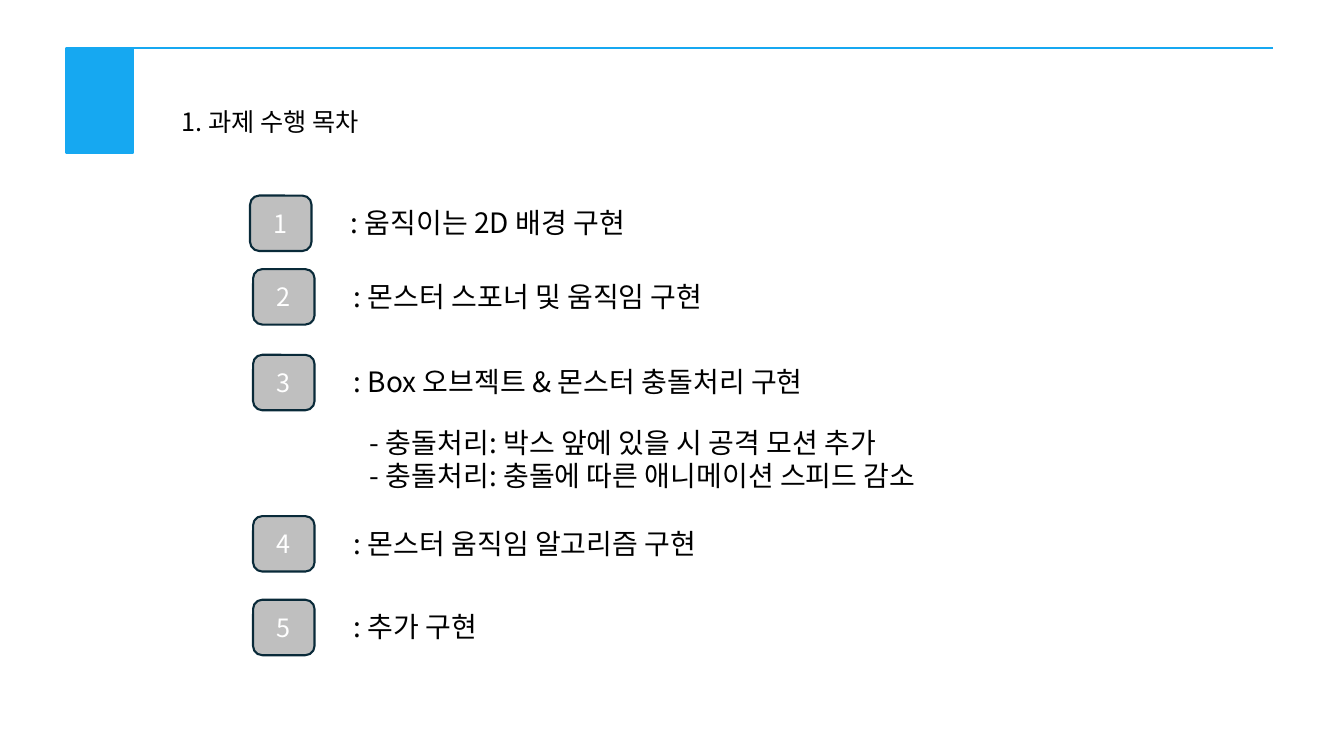
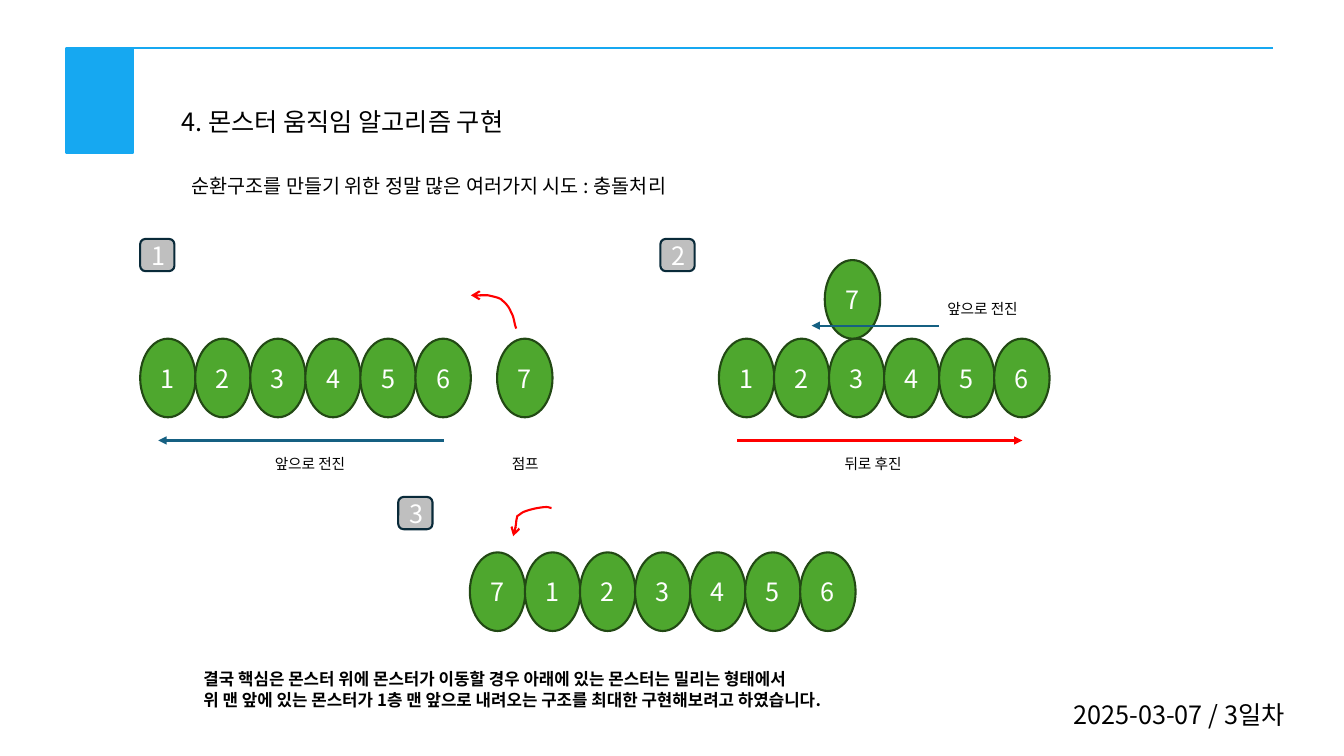
from lxml.etree import SubElement
from pptx import Presentation
from pptx.dml.color import RGBColor
from pptx.enum.shapes import MSO_CONNECTOR, MSO_SHAPE
from pptx.enum.text import MSO_ANCHOR, MSO_AUTO_SIZE, PP_ALIGN
from pptx.oxml.ns import qn
from pptx.util import Inches, Pt

FONT = "Noto Sans CJK KR"
COLORS = {
    "accent": "16A8F1", "text": "000000", "white": "FFFFFF",
    "badge": "BFBFBF", "badge_line": "092A39",
    "monster": "4EA72E", "monster_line": "224914",
    "forward": "156082", "red": "FF0000",
}

# Slide 1 content: left, top of the badge and its label width
AGENDA_TITLE = ("1. 과제 수행 목차", 2.18)
AGENDA = [
    (2.48, 1.94, 3.26, ": 움직이는 2D 배경 구현"),
    (2.51, 2.67, 4.12, ": 몬스터 스포너 및 움직임 구현"),
    (2.51, 3.52, 5.19, ": Box 오브젝트 & 몬스터 충돌처리 구현"),
    (2.51, 5.12, 4.02, ": 몬스터 움직임 알고리즘 구현"),
    (2.51, 5.95, 1.58, ": 추가 구현"),
]
COLLISION_NOTES = [
    "- 충돌처리: 박스 앞에 있을 시 공격 모션 추가",
    "- 충돌처리: 충돌에 따른 애니메이션 스피드 감소",
]

# Slide 2 content
MOVE_TITLE = ("4. 몬스터 움직임 알고리즘 구현", 3.78)
MOVE_TEXTS = [  # box, size, bold, lines
    ((1.8, 1.68, 5.5, 0.34), 14, False,
     ["순환구조를 만들기 위한 정말 많은 여러가지 시도 : 충돌처리"]),
    ((10.55, 6.89, 2.44, 0.4), 18, False, ["2025-03-07 / 3일차"]),
    ((1.92, 6.59, 7.07, 0.5), 12, True,
     ["결국 핵심은 몬스터 위에 몬스터가 이동할 경우 아래에 있는 몬스터는 밀리는 형태에서",
      "위 맨 앞에 있는 몬스터가 1층 맨 앞으로 내려오는 구조를 최대한 구현해보려고 하였습니다."]),
]
STEPS = [("1", 1.39, 2.37), ("2", 6.55, 2.37), ("3", 3.95, 4.93)]
MONSTER_ROWS = [  # digits, left, top
    ("123456", 1.39, 3.36), ("7", 4.93, 3.36),
    ("123456", 7.13, 3.36), ("7", 8.18, 2.58),
    ("7123456", 4.66, 5.48),
]
ARROWS = [  # from x, to x, y, colour
    (4.4, 1.57, 4.37, "forward"),
    (7.31, 10.14, 4.37, "red"),
    (9.31, 8.05, 3.23, "forward"),
]
CAPTIONS = [  # left, top, width, text
    (2.58, 4.46, 0.99, "앞으로 전진"), (4.96, 4.46, 0.5, "점프"),
    (8.24, 4.46, 0.84, "뒤로 후진"), (9.25, 2.93, 0.99, "앞으로 전진"),
]
JUMP_CURVES = [  # start point, then three control points per Bezier segment
    [(5.12, 3.26),
     (5.1, 3.21), (5.1, 3.16), (5.08, 3.12),
     (5.06, 3.08), (5.05, 3.05), (5.03, 3.03),
     (5.01, 3), (4.99, 2.99), (4.97, 2.97),
     (4.94, 2.95), (4.88, 2.94), (4.84, 2.93),
     (4.79, 2.93), (4.73, 2.93), (4.67, 2.93)],
    [(5.47, 5.04),
     (5.46, 5.04), (5.44, 5.03), (5.42, 5.03),
     (5.37, 5.03), (5.26, 5.05), (5.19, 5.08),
     (5.17, 5.09), (5.15, 5.11), (5.13, 5.12),
     (5.11, 5.22), (5.13, 5.12), (5.11, 5.25),
     (5.1, 5.32), (5.12, 5.3), (5.09, 5.32)],
]
MONSTER_W, MONSTER_H = 0.55, 0.78
MONSTER_PITCH = 2.73 / 5
CURVE_STEPS = 8


def rgb(name):
    return RGBColor.from_string(COLORS[name])


def box(*lengths):
    return [Inches(v) for v in lengths]


def style_line(line, color):
    line.color.rgb = rgb(color)
    line.width = Pt(1.5)


def add_head(sp, kind):
    SubElement(sp.line._get_or_add_ln(), qn("a:tailEnd"), type=kind)


def write(tf, lines, size, color="text", align=PP_ALIGN.LEFT, bold=False):
    for i, text in enumerate(lines):
        p = tf.paragraphs[0] if i == 0 else tf.add_paragraph()
        p.alignment = align
        r = p.add_run()
        r.text = text
        r.font.size = Pt(size)
        r.font.bold = bold
        r.font.name = FONT
        r.font.color.rgb = rgb(color)
        SubElement(r.font._element, qn("a:ea"), typeface=FONT)


def fit_frame(tf):
    tf.word_wrap = False
    tf.auto_size = MSO_AUTO_SIZE.SHAPE_TO_FIT_TEXT
    tf.vertical_anchor = MSO_ANCHOR.TOP


def add_text(s, place, lines, size, **style):
    tf = s.shapes.add_textbox(*box(*place)).text_frame
    fit_frame(tf)
    write(tf, lines, size, **style)


def add_block(s, kind, place, fill, line, text=None):
    sp = s.shapes.add_shape(kind, *box(*place))
    sp.shadow.inherit = False
    sp.fill.solid()
    sp.fill.fore_color.rgb = rgb(fill)
    style_line(sp.line, line)
    if text:
        sp.text_frame.vertical_anchor = MSO_ANCHOR.MIDDLE
        write(sp.text_frame, [text], 18, "white", PP_ALIGN.CENTER)


def add_badge(s, text, *place):
    add_block(s, MSO_SHAPE.ROUNDED_RECTANGLE, place, "badge", "badge_line", text)


def add_line(s, x1, y1, x2, y2, color, head=None):
    c = s.shapes.add_connector(MSO_CONNECTOR.STRAIGHT, *box(x1, y1, x2, y2))
    style_line(c.line, color)
    if head:
        add_head(c, head)
    SubElement(c._element.spPr, qn("a:effectLst"))


def curve_points(points):
    """Sample each cubic Bezier segment at equal steps."""
    for i in range(0, len(points) - 1, 3):
        segment = points[i:i + 4]
        for n in range(1, CURVE_STEPS + 1):
            t = n / CURVE_STEPS
            u = 1 - t
            weights = (u ** 3, 3 * u * u * t, 3 * u * t * t, t ** 3)
            yield tuple(Inches(sum(w * pt[axis] for w, pt in zip(weights, segment)))
                        for axis in (0, 1))


def add_curve(s, points):
    builder = s.shapes.build_freeform(*box(*points[0]))
    builder.add_line_segments(curve_points(points), close=False)
    sp = builder.convert_to_shape()
    sp.shadow.inherit = False
    sp.fill.background()
    style_line(sp.line, "red")
    add_head(sp, "arrow")


def add_slide(prs, title, width):
    """Title-only slide with the shared corner block and top rule."""
    s = prs.slides.add_slide(prs.slide_layouts[5])
    add_block(s, MSO_SHAPE.RECTANGLE, (0.66, 0.48, 0.66, 1.04), "accent", "accent")
    add_line(s, 0.66, 0.48, 12.63, 0.48, "accent")
    sp = s.shapes.title
    sp.left, sp.top, sp.width, sp.height = box(1.7, 1, width, 0.4)
    fit_frame(sp.text_frame)
    write(sp.text_frame, [title], 18)
    return s


def build_agenda(prs):
    s = add_slide(prs, *AGENDA_TITLE)
    for number, (x, y, width, text) in enumerate(AGENDA, 1):
        add_badge(s, str(number), x, y, 0.61, 0.55)
        add_text(s, (x + 0.9, y + 0.05, width, 0.44), [text], 20)
    add_text(s, (3.57, 4.17, 6.4, 0.77), COLLISION_NOTES, 20)


def build_movement(prs):
    s = add_slide(prs, *MOVE_TITLE)
    for place, size, bold, lines in MOVE_TEXTS:
        add_text(s, place, lines, size, bold=bold)
    for number, x, y in STEPS:
        add_badge(s, number, x, y, 0.34, 0.32)
    # Monsters
    for digits, x, y in MONSTER_ROWS:
        for i, digit in enumerate(digits):
            place = (x + i * MONSTER_PITCH, y, MONSTER_W, MONSTER_H)
            add_block(s, MSO_SHAPE.OVAL, place, "monster", "monster_line", digit)
    # Movement arrows and captions
    for x1, x2, y, color in ARROWS:
        add_line(s, x1, y, x2, y, color, "triangle")
    for points in JUMP_CURVES:
        add_curve(s, points)
    for x, y, width, text in CAPTIONS:
        add_text(s, (x, y, width, 0.28), [text], 10.5, align=PP_ALIGN.CENTER)


def main():
    prs = Presentation()
    prs.slide_width, prs.slide_height = box(13.33, 7.5)
    build_agenda(prs)
    build_movement(prs)
    prs.save("out.pptx")


if __name__ == "__main__":
    main()
